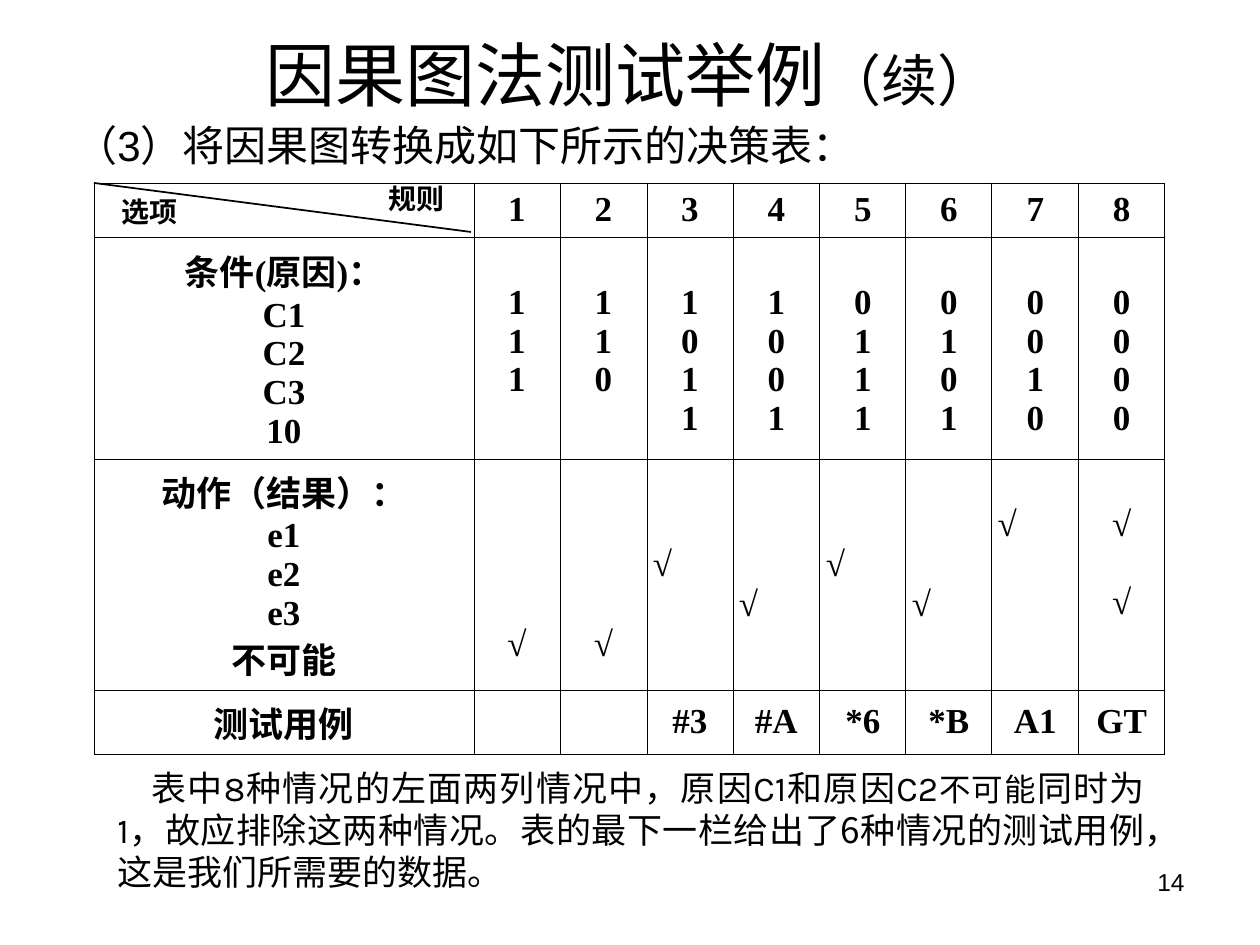
from lxml import etree
from pptx import Presentation
from pptx import util as u
from pptx.dml.color import RGBColor
from pptx.enum import shapes, text
from pptx.oxml.ns import qn

BLACK = RGBColor(0, 0, 0)
EMU_PER_PX = 914400 // 126
LEFT, CENTER = text.PP_ALIGN.LEFT, text.PP_ALIGN.CENTER
RIGHT, JUSTIFY = text.PP_ALIGN.RIGHT, text.PP_ALIGN.JUSTIFY
TOP, MIDDLE = text.MSO_ANCHOR.TOP, text.MSO_ANCHOR.MIDDLE

SERIF, SANS = "Times New Roman", "Arial"
CELL_MARGIN = 6
LINE_HEIGHT = 40
CHECK = "√"

RULES = "12345678"
CONDITIONS = ["111", "110", "1011", "1001", "0111", "0101", "0010", "0000"]
CHECK_LINES = [[4], [4], [2], [3], [2], [3], [1], [1, 3]]
CHECK_ALIGN = [CENTER] * 2 + [LEFT] * 5 + [CENTER]
TEST_CASES = ["", "", "#3", "#A", "*6", "*B", "A1", "GT"]
ROW_TITLES = [
    [],
    ["条件(原因)：", "C1", "C2", "C3", "10"],
    ["动作（结果）：", "e1", "e2", "e3", "不可能"],
    ["测试用例"],
]


def px(length):
    return u.Emu(length * EMU_PER_PX)


def add_span(para, words, *, size=20, font=SERIF, bold=False, color=BLACK):
    span = para.add_run()
    span.text = words
    span.font.size = u.Pt(size)
    span.font.name = font
    span.font.bold = bold
    span.font.color.rgb = color


def write(frame, paragraphs, *, align=LEFT, gap=0, indent=(0, 0), **style):
    """Fill a frame; a paragraph is a list of (words, style changes) pairs.

    gap is the space between paragraphs, indent the left margin and first line.
    """
    for index, spans in enumerate(paragraphs):
        para = frame.paragraphs[0] if index == 0 else frame.add_paragraph()
        para.alignment = align
        para.space_before = px(gap if index else 0)
        properties = para._p.get_or_add_pPr()
        properties.set("marL", str(px(indent[0])))
        properties.set("indent", str(px(indent[1])))
        for words, changes in spans:
            add_span(para, words, **{**style, **changes})


def plain(*lines):
    return [[(line, {})] for line in lines]


class SlideBuilder:
    def __init__(self, deck):
        self.slide = deck.slides.add_slide(deck.slide_layouts[5])

    def title(self, place, spans, **style):
        box = self.slide.shapes.title
        box.left, box.top, box.width, box.height = map(px, place)
        frame = box.text_frame
        frame.auto_size = text.MSO_AUTO_SIZE.NONE
        frame.vertical_anchor = MIDDLE
        frame.margin_left = frame.margin_right = 0
        frame.margin_top = frame.margin_bottom = 0
        write(frame, [spans], **style)

    def text_box(self, place, paragraphs, **style):
        frame = self.slide.shapes.add_textbox(*map(px, place)).text_frame
        frame.word_wrap = True
        write(frame, paragraphs, **style)

    def line(self, start, end, width):
        line = self.slide.shapes.add_connector(
            shapes.MSO_CONNECTOR.STRAIGHT, *map(px, start + end))
        line.line.color.rgb = BLACK
        line.line.width = u.Pt(width)
        etree.SubElement(line._element.spPr, qn("a:effectLst"))

    def table(self, left, top, widths, heights):
        place = (left, top, sum(widths), sum(heights))
        table = self.slide.shapes.add_table(
            len(heights), len(widths), *map(px, place)).table
        table.first_row = table.horz_banding = False
        for column, width in zip(table.columns, widths):
            column.width = px(width)
        for row, height in zip(table.rows, heights):
            row.height = px(height)
        for cell in table.iter_cells():
            self.border(cell)
            cell.fill.background()
        return table

    def border(self, cell, width=0.45):
        properties = cell._tc.get_or_add_tcPr()
        for side in ("lnL", "lnR", "lnT", "lnB"):
            edge = etree.SubElement(properties, qn(f"a:{side}"), w=str(u.Pt(width)))
            fill = etree.SubElement(edge, qn("a:solidFill"))
            etree.SubElement(fill, qn("a:srgbClr"), val=str(BLACK))

    def cell(self, cell, lines, *, skip=0, anchor=MIDDLE, align=CENTER, gap=0):
        """Write lines in a cell, starting skip line heights below its top."""
        cell.margin_left = cell.margin_right = cell.margin_bottom = px(CELL_MARGIN)
        cell.margin_top = px(CELL_MARGIN + skip * LINE_HEIGHT)
        cell.vertical_anchor = anchor
        write(cell.text_frame, plain(*lines), align=align, gap=gap, bold=True)


def add_decision_table(builder):
    edges = [round(691 * i / len(RULES)) for i in range(len(RULES) + 1)]
    widths = [380] + [b - a for a, b in zip(edges, edges[1:])]
    table = builder.table(94, 183, widths, [52, 220, 231, 64])
    for row, lines in enumerate(ROW_TITLES):
        builder.cell(table.cell(row, 0), lines)
    for i, rule in enumerate(RULES):
        column = i + 1
        builder.cell(table.cell(0, column), [rule])
        builder.cell(table.cell(1, column), CONDITIONS[i], skip=1, anchor=TOP)
        checks = CHECK_LINES[i]
        builder.cell(table.cell(2, column), [CHECK] * len(checks), skip=checks[0],
                     anchor=TOP, align=CHECK_ALIGN[i], gap=LINE_HEIGHT - 1)
        if TEST_CASES[i]:
            builder.cell(table.cell(3, column), [TEST_CASES[i]])
    builder.line((94, 183), (471, 232), 1)
    for place, label in (((372, 175, 89, 47), "规则"), ((105, 188, 89, 47), "选项")):
        builder.text_box(place, plain(label), align=CENTER, size=16, bold=True)


def main():
    deck = Presentation()
    deck.slide_width, deck.slide_height = u.Inches(10), u.Inches(7.5)
    builder = SlideBuilder(deck)
    builder.text_box((903, 861, 294, 66), plain("14"), align=RIGHT, size=14, font=SANS)
    builder.title((63, 35, 1133, 77),
                  [("因果图法测试举例", {}), ("（续）", {"size": 32})],
                  align=CENTER, size=40, font=SANS)
    builder.text_box((63, 113, 1153, 59), plain("（3）将因果图转换成如下所示的决策表："),
                     indent=(48, -48), size=24, font=SANS)
    add_decision_table(builder)
    summary = [
        ("表中8种情况的左面两列情况中，原因C1和原因C2", {}),
        ("不可能", {"size": 18, "font": "DejaVu Sans"}),
        ("同时为1，故应排除这两种情况。", {}),
        ("表的最下一栏给出了6种情况的测试用例，这是我们所需要的数据。",
         {"font": "Noto Sans CJK SC"}),
    ]
    builder.text_box((105, 760, 1052, 139), [summary], align=JUSTIFY,
                     indent=(0, 34), font="Karla")
    deck.save("out.pptx")


if __name__ == "__main__":
    main()
